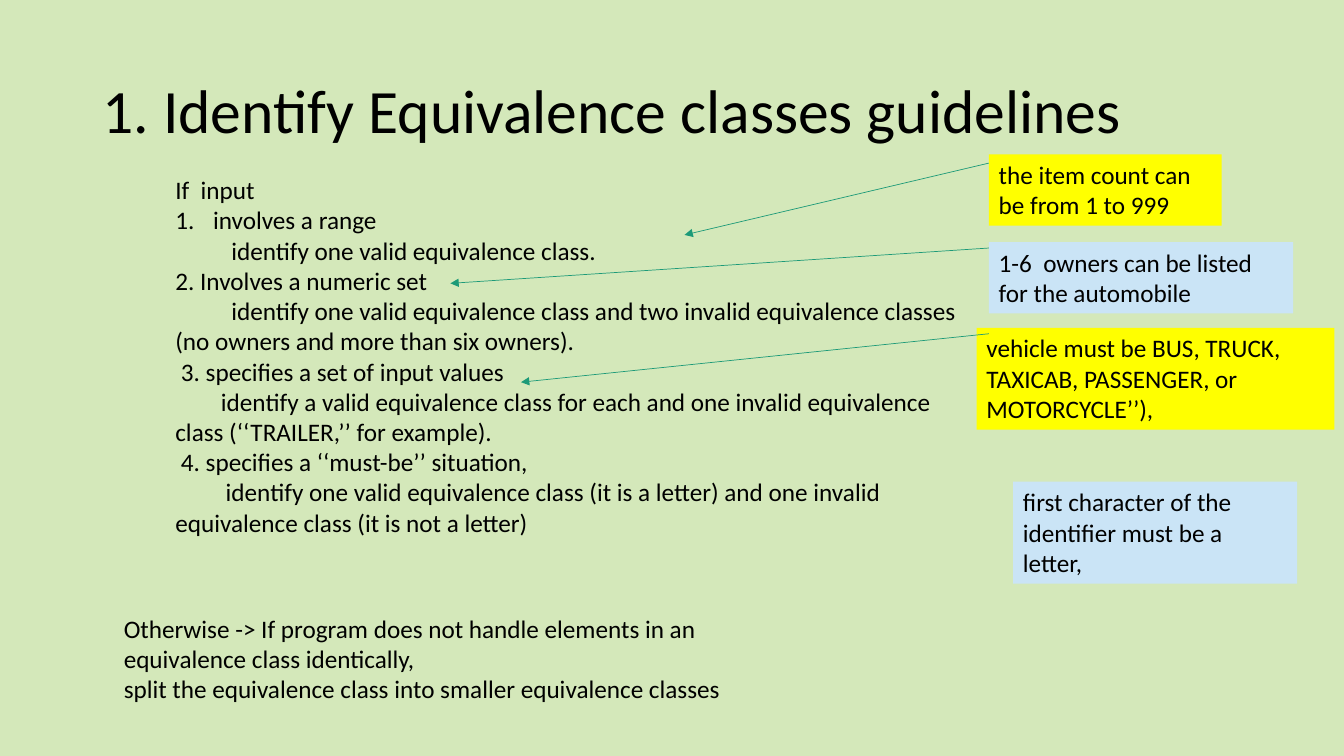
from dataclasses import dataclass

from lxml.etree import SubElement
from pptx import Presentation
from pptx.dml.color import RGBColor
from pptx.enum.shapes import MSO_CONNECTOR as Connector, MSO_SHAPE as Shape
from pptx.enum.text import MSO_ANCHOR as Anchor, PP_ALIGN as Align
from pptx.oxml.ns import qn
from pptx.util import Cm, Pt

FONT = "Calibri"
COLORS = {
    "background": "D4E8BA",
    "text": "000000",
    "yellow": "FFFF00",
    "blue": "CAE4F6",
    "arrow": "1D9A78",
}


@dataclass
class Line:
    text: str
    first_indent: float = 0
    numbered: bool = False


@dataclass
class Note:
    text: str
    box: tuple[float, float, float, float]
    color: str


@dataclass
class Arrow:
    start: tuple[float, float]
    end: tuple[float, float]


GUIDELINES = [
    Line("If  input"),
    Line("involves a range", 0.95, numbered=True),
    Line("identify one valid equivalence class.", 1.41),
    Line("2. Involves a numeric set"),
    Line("identify one valid equivalence class and two invalid equivalence "
         "classes (no owners and more than six owners).", 1.41),
    Line("3. specifies a set of input values", 0.14),
    Line("identify a valid equivalence class for each and one invalid "
         "equivalence class (‘‘TRAILER,’’ for example).", 1.15),
    Line("4. specifies a ‘‘must-be’’ situation,", 0.14),
    Line("identify one valid equivalence class (it is a letter) and one "
         "invalid equivalence class (it is not a letter)", 1.27),
]
OTHERWISE = [
    Line("Otherwise -> If program does not handle elements in an equivalence "
         "class identically,"),
    Line("split the equivalence class into smaller equivalence classes"),
]
NOTES = [
    Note("vehicle must be BUS, TRUCK, TAXICAB, PASSENGER, or MOTORCYCLE’’),",
         (24.61, 8.26, 9.02, 2.57), "yellow"),
    Note("1-6  owners can be listed for the automobile",
         (24.92, 6.1, 7.67, 1.8), "blue"),
    Note("the item count can be from 1 to 999",
         (24.92, 3.89, 5.87, 1.8), "yellow"),
    Note("first character of the identifier must be a letter,",
         (25.53, 12.14, 7.16, 2.57), "blue"),
]
ARROWS = [
    Arrow((24.92, 4.11), (17.25, 5.92)),
    Arrow((24.92, 6.25), (11.35, 7.14)),
    Arrow((24.92, 8.41), (13.13, 9.63)),
]


def rgb(name: str) -> RGBColor:
    return RGBColor.from_string(COLORS[name])


def add_run(paragraph, text: str, size: float = 18) -> None:
    paragraph.alignment = Align.LEFT
    run = paragraph.add_run()
    run.text = text
    run.font.name = FONT
    run.font.size = Pt(size)
    run.font.color.rgb = rgb("text")


def set_indent(paragraph, line: Line) -> None:
    properties = paragraph._p.get_or_add_pPr()
    indent = Cm(line.first_indent)
    if line.numbered:
        properties.set("marL", str(indent))
        properties.set("indent", str(-indent))
        SubElement(properties, qn("a:buFont"), typeface="+mj-lt")
        SubElement(properties, qn("a:buAutoNum"), type="arabicPeriod")
    elif indent:
        properties.set("marL", "0")
        properties.set("indent", str(indent))


def add_title(slide, text: str) -> None:
    title = slide.shapes.title
    title.left, title.top, title.width, title.height = map(
        Cm, (2.33, 1.01, 29.21, 3.68))
    title.text_frame.vertical_anchor = Anchor.MIDDLE
    heading = title.text_frame.paragraphs[0]
    heading.line_spacing = 0.9
    add_run(heading, text, 44)


def add_text(slide, lines: list[Line], box: tuple[float, ...]) -> None:
    frame = slide.shapes.add_textbox(*map(Cm, box)).text_frame
    frame.word_wrap = True
    for index, line in enumerate(lines):
        paragraph = frame.add_paragraph() if index else frame.paragraphs[0]
        add_run(paragraph, line.text)
        set_indent(paragraph, line)


def add_note(slide, note: Note) -> None:
    label = slide.shapes.add_shape(Shape.RECTANGLE, *map(Cm, note.box))
    label.shadow.inherit = False
    label.fill.solid()
    label.fill.fore_color.rgb = rgb(note.color)
    label.line.fill.background()
    label.text_frame.word_wrap = True
    label.text_frame.vertical_anchor = Anchor.TOP
    add_run(label.text_frame.paragraphs[0], note.text)


def add_arrow(slide, arrow: Arrow) -> None:
    pointer = slide.shapes.add_connector(
        Connector.STRAIGHT, *map(Cm, arrow.start + arrow.end))
    pointer.line.color.rgb = rgb("arrow")
    pointer.line.width = Pt(0.5)
    SubElement(pointer.line._get_or_add_ln(), qn("a:tailEnd"), type="triangle")
    SubElement(pointer._element.spPr, qn("a:effectLst"))


def main() -> None:
    deck = Presentation()
    deck.slide_width, deck.slide_height = Cm(33.87), Cm(19.05)
    slide = deck.slides.add_slide(deck.slide_layouts[5])
    slide.background.fill.solid()
    slide.background.fill.fore_color.rgb = rgb("background")

    # Heading and guidelines
    add_title(slide, "1. Identify Equivalence classes guidelines")
    add_text(slide, GUIDELINES, (4.17, 4.27, 20.75, 10.26))

    # Examples and the arrows to their guidelines
    for note in NOTES:
        add_note(slide, note)
    for arrow in ARROWS:
        add_arrow(slide, arrow)

    # Closing rule
    add_text(slide, OTHERWISE, (2.87, 15.32, 16.94, 2.57))

    deck.save("out.pptx")


if __name__ == "__main__":
    main()
